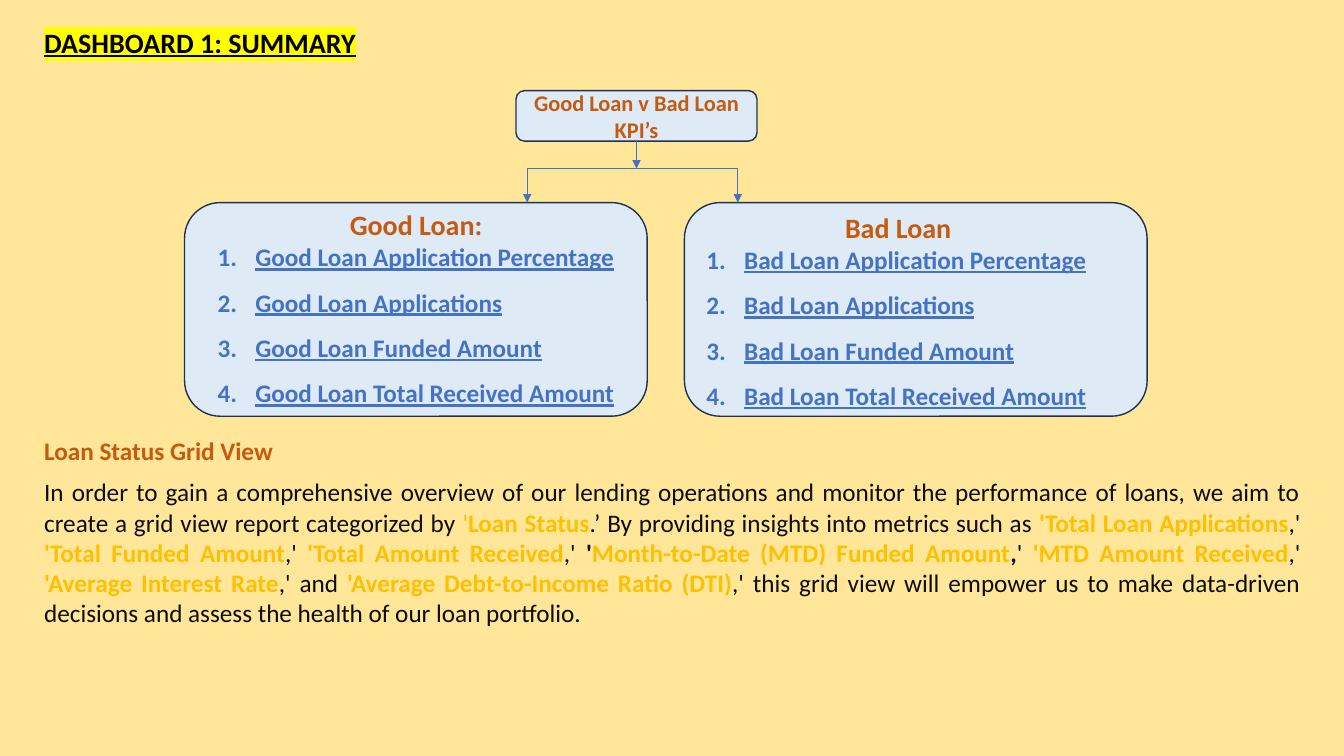
from lxml import etree
from pptx import Presentation
from pptx.dml.color import RGBColor
from pptx.enum.shapes import MSO_CONNECTOR as Line, MSO_SHAPE as Shape
from pptx.enum.text import MSO_ANCHOR as Anchor, PP_ALIGN as Align
from pptx.oxml.ns import qn
from pptx.util import Pt

# Content
COLORS = {
    "sand": "FFE699", "pale": "DEEBF7", "navy": "1E3256", "blue": "4472C4",
    "rust": "C55A11", "gold": "FFC000", "ink": "0D0D0D", "black": "000000",
    "yellow": "FFFF00",
}
FONT = "Calibri"
TITLE = "DASHBOARD 1: SUMMARY"
ROOT = "Good Loan v Bad Loan KPI’s"
MEASURES = ["Application Percentage", "Applications", "Funded Amount",
            "Total Received Amount"]
# heading, item prefix, card left, text left, text top, heading indent
CARDS = [
    ("Bad Loan", "Bad Loan", 488.9, 497.5, 146.9, 99),
    ("Good Loan:", "Good Loan", 131.8, 148.3, 145, 94.5),
]
GRID_HEADING = "Loan Status Grid View"
# text, colour, bold
GRID_TEXT = [
    ("In order to gain a comprehensive overview of our lending operations and "
     "monitor the performance of loans, we aim to create a grid view report "
     "categorized by ", "ink", False),
    ("'", "gold", False),
    ("Loan Status", "gold", True),
    (".’ By providing insights into metrics such as ", "ink", False),
    ("'Total Loan Applications", "gold", True),
    (",' ", "ink", False),
    ("'Total Funded Amount", "gold", True),
    (",' ", "ink", False),
    ("'Total Amount Received", "gold", True),
    (",' ", "ink", False),
    ("'", "ink", True),
    ("Month-to-Date (MTD) Funded Amount", "gold", True),
    (",", "ink", True),
    ("' ", "ink", False),
    ("'MTD Amount Received", "gold", True),
    (",' ", "ink", False),
    ("'Average Interest Rate", "gold", True),
    (",' and ", "ink", False),
    ("'Average Debt-to-Income Ratio (DTI)", "gold", True),
    (",' this grid view will empower us to make data-driven decisions and "
     "assess the health of our loan portfolio.", "ink", False),
]

# Layout
WIDTH, HEIGHT = 960, 540
CARD_TOP, CARD_WIDTH, CARD_HEIGHT = 144.7, 330.5, 152.6
ROOT_BOX = (368.6, 64.8, 172.1, 36)
BRANCH_Y, LEFT_X, RIGHT_X = 120.4, 376.6, 527
ITEM_INDENT = 27

deck = Presentation()
deck.slide_width, deck.slide_height = Pt(WIDTH), Pt(HEIGHT)
page = deck.slides.add_slide(deck.slide_layouts[6])


def color(name):
    return RGBColor.from_string(COLORS[name])


def add_box(kind, left, top, width, height, fill, outline=None):
    box = page.shapes.add_shape(kind, Pt(left), Pt(top), Pt(width), Pt(height))
    box.shadow.inherit = False
    box.fill.solid()
    box.fill.fore_color.rgb = color(fill)
    if outline:
        box.line.color.rgb = color(outline)
        box.line.width = Pt(1)
    else:
        box.line.fill.background()
    return box


def add_text(left, top, width, height):
    box = page.shapes.add_textbox(Pt(left), Pt(top), Pt(width), Pt(height))
    box.text_frame.word_wrap = True
    return box.text_frame


def add_span(para, text, size, tint, bold=True, underline=None):
    span = para.add_run()
    span.text = text
    font = span.font
    font.name, font.size, font.bold, font.underline = FONT, Pt(size), bold, underline
    font.color.rgb = color(tint)
    return span


def indent(para, margin, first=0):
    props = para._p.get_or_add_pPr()
    props.set("marL", str(Pt(margin)))
    props.set("indent", str(Pt(first)))
    return props


def add_line(x1, y1, x2, y2, arrow=True):
    line = page.shapes.add_connector(Line.STRAIGHT, Pt(x1), Pt(y1), Pt(x2), Pt(y2))
    line.line.color.rgb = color("blue")
    line.line.width = Pt(0.5)
    if arrow:
        etree.SubElement(line.line._get_or_add_ln(), qn("a:tailEnd"), type="triangle")
    etree.SubElement(line._element.spPr, qn("a:effectLst"))
    return line


# Background
add_box(Shape.RECTANGLE, 0, 0, WIDTH, HEIGHT, "sand")

# Loan cards with numbered measures
for heading, prefix, card_left, text_left, text_top, heading_indent in CARDS:
    add_box(Shape.ROUNDED_RECTANGLE, card_left, CARD_TOP, CARD_WIDTH, CARD_HEIGHT,
            "pale", "navy")
    frame = add_text(text_left, text_top, 345.6, 150)
    para = frame.paragraphs[0]
    indent(para, heading_indent)
    add_span(para, heading, 20, "rust")
    for number, measure in enumerate(MEASURES):
        para = frame.add_paragraph()
        if number:
            para.line_spacing = 1.5
        props = indent(para, ITEM_INDENT, -ITEM_INDENT)
        etree.SubElement(props, qn("a:buAutoNum"), type="arabicPeriod")
        add_span(para, f"{prefix} {measure}", 18, "blue", underline=True)

# Grid view description
frame = add_text(24.5, 307.4, 911.5, 146.2)
heading_para, body_para = frame.paragraphs[0], frame.add_paragraph()
for para in (heading_para, body_para):
    para.alignment = Align.JUSTIFY
    para.space_after = Pt(8)
add_span(heading_para, GRID_HEADING, 18, "rust")
for text, tint, bold in GRID_TEXT:
    add_span(body_para, text, 18, tint, bold)

# Highlighted title
para = add_text(24.5, 14.4, 285.8, 31.7).paragraphs[0]
span = add_span(para, TITLE, 20, "black", underline=True)
highlight = etree.Element(qn("a:highlight"))
etree.SubElement(highlight, qn("a:srgbClr"), val=COLORS["yellow"])
span.font._element.find(qn("a:solidFill")).addnext(highlight)

# Root box
root = add_box(Shape.ROUNDED_RECTANGLE, *ROOT_BOX, "pale", "navy")
root.text_frame.word_wrap = True
root.text_frame.vertical_anchor = Anchor.MIDDLE
para = root.text_frame.paragraphs[0]
para.alignment = Align.CENTER
add_span(para, ROOT, 16, "rust")

# Branches from the root to the cards
for x in (RIGHT_X, LEFT_X):
    add_line(x, BRANCH_Y, x, CARD_TOP)
add_line(LEFT_X, BRANCH_Y, RIGHT_X, BRANCH_Y, arrow=False)
root_x = ROOT_BOX[0] + ROOT_BOX[2] / 2
stem = add_line(root_x, ROOT_BOX[1] + ROOT_BOX[3], root_x, BRANCH_Y)
stem.begin_connect(root, 2)

deck.save("out.pptx")
